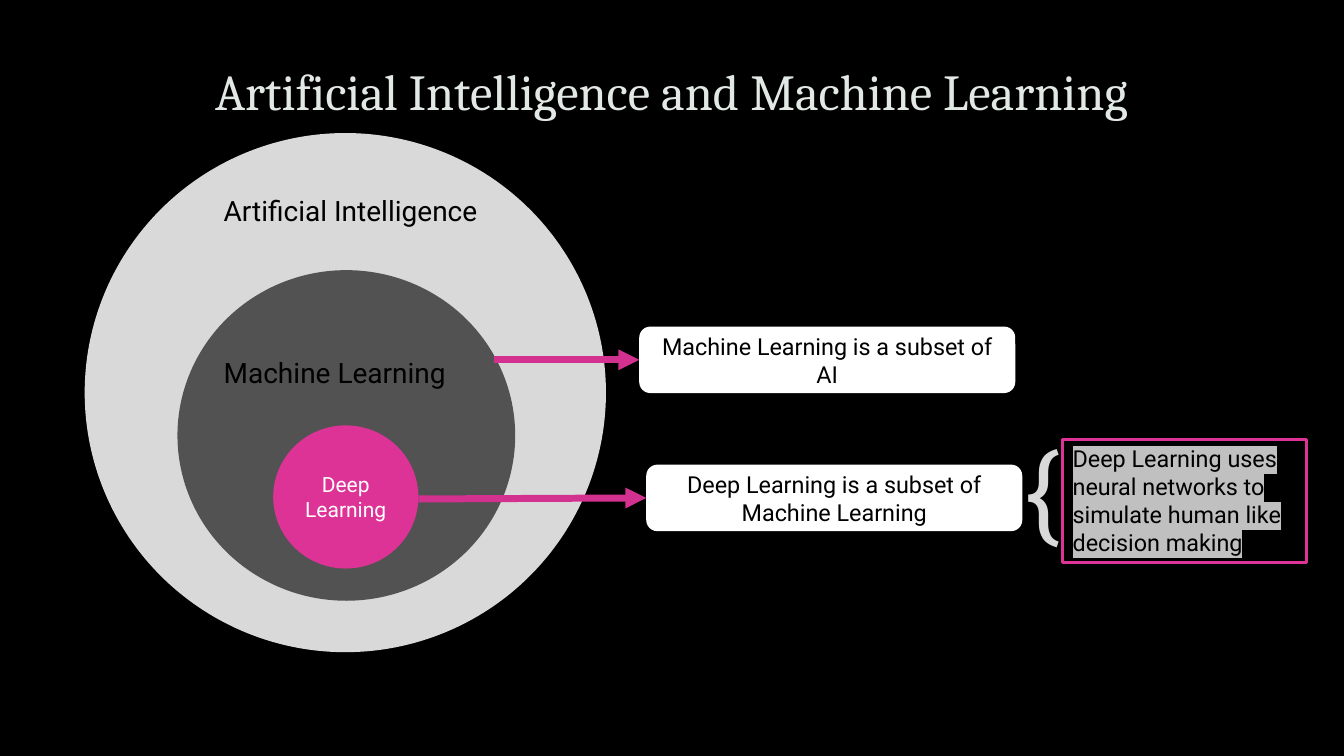
"""Build a slide that nests deep learning in machine learning in artificial intelligence."""
from dataclasses import dataclass

from lxml import etree
from pptx import Presentation
from pptx.dml.color import RGBColor
from pptx.enum.shapes import MSO_CONNECTOR, MSO_SHAPE
from pptx.enum.text import MSO_ANCHOR, PP_ALIGN
from pptx.oxml.ns import qn
from pptx.shapes.autoshape import Shape
from pptx.slide import Slide
from pptx.util import Pt

EMU_PER_PX = 9144
STRAIGHT = MSO_CONNECTOR.STRAIGHT
ELLIPSE = MSO_SHAPE.OVAL
ROUNDED = MSO_SHAPE.FLOWCHART_ALTERNATE_PROCESS
RECTANGLE = MSO_SHAPE.RECTANGLE
LEFT, CENTER = PP_ALIGN.LEFT, PP_ALIGN.CENTER
TOP, MIDDLE = MSO_ANCHOR.TOP, MSO_ANCHOR.MIDDLE
LEFT_SIDE = 1

COLORS = {
    "black": "000000",
    "white": "FFFFFF",
    "title": "E2E8E4",
    "light": "D9D9D9",
    "dark": "525252",
    "pink": "DD3397",
    "arrow": "D33190",
    "highlight": "C0C0C0",
}


@dataclass(frozen=True)
class Label:
    text: str
    size: float
    color: str = "black"
    font: str = "Roboto"
    align: PP_ALIGN = LEFT
    anchor: MSO_ANCHOR = TOP
    highlight: str | None = None


@dataclass(frozen=True)
class Item:
    left: int
    top: int
    width: int
    height: int
    kind: MSO_SHAPE | None = None
    fill: str | None = None
    outline: str | None = None
    label: Label | None = None


@dataclass(frozen=True)
class Arrow:
    left: int
    top: int
    callout: Item


def callout(left: int, top: int, text: str) -> Item:
    return Item(left, top, 373, 66, ROUNDED, "white",
                label=Label(text, 16.7, align=CENTER, anchor=MIDDLE))


def circle_name(top: int, text: str) -> Item:
    return Item(212, top, 294, 44, label=Label(text, 20))


MACHINE_CALLOUT = callout(634, 324, "Machine Learning is a subset of AI")
DEEP_CALLOUT = callout(641, 461, "Deep Learning is a subset of Machine Learning")

ITEMS = [
    Item(62, 58, 1208, 64, label=Label("Artificial Intelligence and Machine Learning", 36,
                                       "title", "Cambria", CENTER, MIDDLE)),
    Item(84, 132, 517, 515, ELLIPSE, "light"),
    Item(176, 268, 335, 328, ELLIPSE, "dark"),
    Item(271, 422, 144, 142, ELLIPSE, "pink",
         label=Label("Deep Learning", 15, "white", align=CENTER, anchor=MIDDLE)),
    circle_name(187, "Artificial Intelligence"),
    circle_name(348, "Machine Learning"),
    MACHINE_CALLOUT,
    DEEP_CALLOUT,
    Item(1054, 436, 242, 122, RECTANGLE, outline="pink",
         label=Label("Deep Learning uses neural networks to simulate human like decision making",
                     16.7, highlight="highlight")),
    Item(1007, 419, 70, 134, label=Label("{", 73.3, "light")),
]

ARROWS = [Arrow(490, 357, MACHINE_CALLOUT), Arrow(415, 495, DEEP_CALLOUT)]


def px(length: int) -> int:
    return length * EMU_PER_PX


def rgb(name: str) -> RGBColor:
    return RGBColor.from_string(COLORS[name])


def write_label(box: Shape, label: Label) -> None:
    frame = box.text_frame
    frame.word_wrap = True
    frame.vertical_anchor = label.anchor
    para = frame.paragraphs[0]
    para.alignment = label.align
    span = para.add_run()
    span.text = label.text
    para.font.size = Pt(label.size)
    para.font.name = label.font
    para.font.color.rgb = rgb(label.color)
    if label.highlight:
        span.font.color.rgb = rgb(label.color)
        marker = etree.SubElement(span.font.fill._xPr, qn("a:highlight"))
        etree.SubElement(marker, qn("a:srgbClr"), val=COLORS[label.highlight])


def draw_item(page: Slide, item: Item) -> Shape:
    bounds = [px(side) for side in (item.left, item.top, item.width, item.height)]
    if item.kind is None:
        box = page.shapes.add_textbox(*bounds)
    else:
        box = page.shapes.add_shape(item.kind, *bounds)
        box.shadow.inherit = False
        if item.fill:
            box.fill.solid()
            box.fill.fore_color.rgb = rgb(item.fill)
        else:
            box.fill.background()
        if item.outline:
            box.line.color.rgb = rgb(item.outline)
            box.line.width = Pt(2.5)
        else:
            box.line.fill.background()
    if item.label:
        write_label(box, item.label)
    return box


def draw_arrow(page: Slide, arrow: Arrow, target: Shape) -> None:
    start = px(arrow.left), px(arrow.top)
    connector = page.shapes.add_connector(STRAIGHT, *start, *start)
    connector.end_connect(target, LEFT_SIDE)
    connector.line.color.rgb = rgb("arrow")
    connector.line.width = Pt(5)
    etree.SubElement(connector.line._get_or_add_ln(), qn("a:tailEnd"), type="triangle")
    etree.SubElement(connector._element.spPr, qn("a:effectLst"))


def main() -> None:
    deck = Presentation()
    deck.slide_width, deck.slide_height = px(1333), px(750)
    page = deck.slides.add_slide(deck.slide_layouts[6])
    page.background.fill.solid()
    page.background.fill.fore_color.rgb = rgb("black")
    boxes = {item: draw_item(page, item) for item in ITEMS}
    for arrow in ARROWS:
        draw_arrow(page, arrow, boxes[arrow.callout])
    deck.save("out.pptx")


if __name__ == "__main__":
    main()
